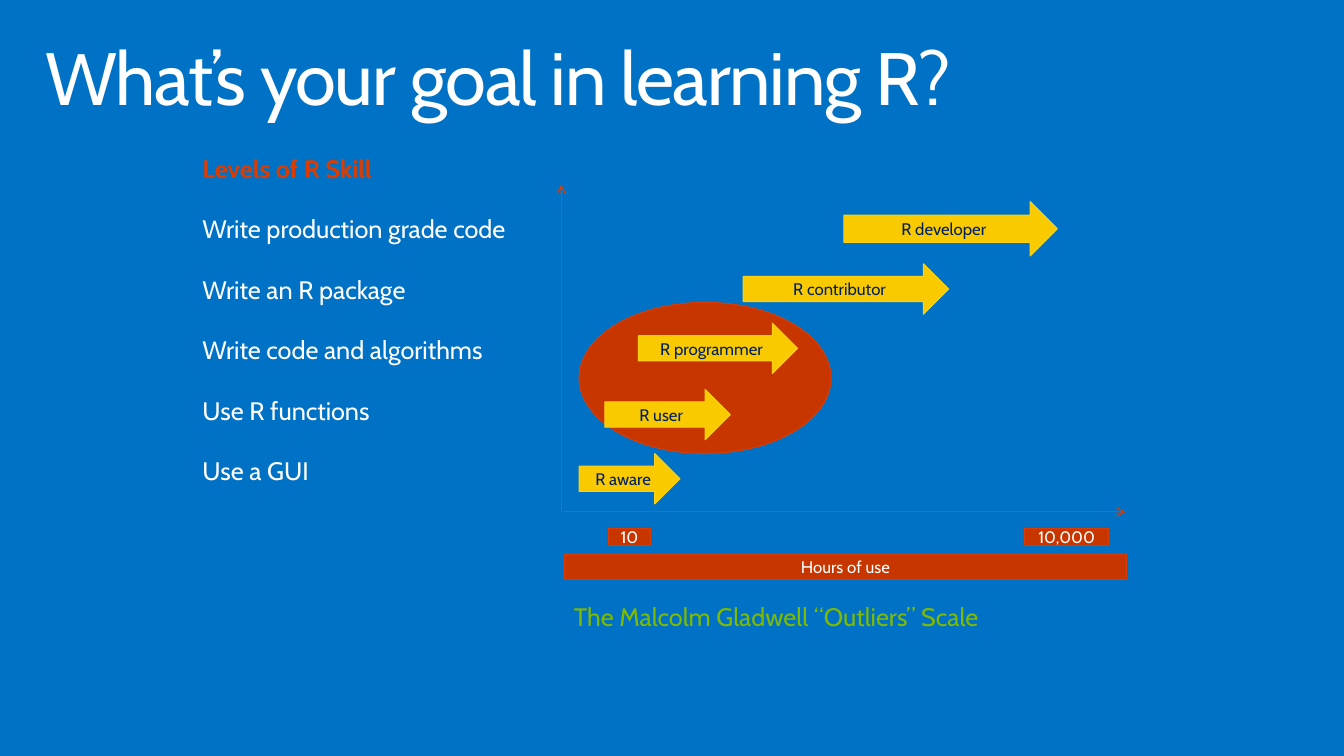
from dataclasses import dataclass

from lxml.etree import SubElement
from pptx import Presentation
from pptx.dml.color import RGBColor
from pptx.enum.shapes import MSO_CONNECTOR, MSO_SHAPE
from pptx.enum.text import MSO_ANCHOR, PP_ALIGN
from pptx.oxml.ns import qn
from pptx.util import Inches, Pt

COLUMNS, ROWS = 136, 76.5
CELL = Inches(13.6) / COLUMNS


@dataclass(frozen=True)
class Theme:
    font: str = "Cabin"
    background: str = "0072C6"
    text: str = "FFFFFF"
    accent: str = "DC3C00"
    panel: str = "C83600"
    arrow: str = "F9CA00"
    arrow_edge: str = "FCD116"
    arrow_text: str = "002060"
    caption: str = "7FBA00"
    title_size: float = 54
    body_size: float = 18.4
    label_size: float = 12.2
    edge_width: float = 0.75
    axis_width: float = 0.85


@dataclass(frozen=True)
class Box:
    left: float
    top: float
    width: float
    height: float

    def inner(self, left, top, width, height):
        return Box(self.left + left, self.top + top, width, height)

    def lengths(self):
        return [round(value * CELL) for value in (self.left, self.top, self.width, self.height)]


THEME = Theme()
LEVELS = ["Write production grade code", "Write an R package", "Write code and algorithms",
          "Use R functions", "Use a GUI"]
SKILL_ARROWS = [
    ("R developer", 28.6, 1.7, 21.6, 5.5),
    ("R contributor", 18.4, 8, 20.8, 5.1),
    ("R programmer", 7.8, 14, 16.1, 5.1),
    ("R user", 4.4, 20.7, 12.7, 5.1),
    ("R aware", 1.8, 27.2, 10.2, 5.1),
]
HOUR_LABELS = [
    ("10", 4.8, 34.8, 4.2, 1.7),
    ("10,000", 46.9, 34.8, 8.5, 1.7),
    ("Hours of use", 0.3, 37.4, 56.9, 2.5),
]


def color(code):
    return RGBColor.from_string(code)


def add_span(para, text, size, code, bold=False):
    span = para.add_run()
    span.text = text
    span.font.name = THEME.font
    span.font.size = Pt(size)
    span.font.bold = bold
    span.font.color.rgb = color(code)
    return span


def add_text_frame(page, box):
    frame = page.shapes.add_textbox(*box.lengths()).text_frame
    frame.word_wrap = True
    return frame


def add_figure(page, kind, box, fill, edge, label="", label_color=THEME.text):
    figure = page.shapes.add_shape(kind, *box.lengths())
    figure.shadow.inherit = False
    figure.fill.solid()
    figure.fill.fore_color.rgb = color(fill)
    figure.line.color.rgb = color(edge)
    figure.line.width = Pt(THEME.edge_width)
    if label:
        frame = figure.text_frame
        frame.word_wrap = True
        frame.vertical_anchor = MSO_ANCHOR.MIDDLE
        para = frame.paragraphs[0]
        para.alignment = PP_ALIGN.CENTER
        add_span(para, label, THEME.label_size, label_color)


def add_axis(page, box):
    left, top, width, height = box.lengths()
    axis = page.shapes.add_connector(MSO_CONNECTOR.STRAIGHT, left, top + height, left + width, top)
    axis.line.color.rgb = color(THEME.accent)
    axis.line.width = Pt(THEME.axis_width)
    SubElement(axis.line._get_or_add_ln(), qn("a:tailEnd"), type="arrow")
    SubElement(axis._element.spPr, qn("a:effectLst"))


def add_title(page, box):
    frame = add_text_frame(page, box)
    frame.margin_left = frame.margin_right = Inches(0.16)
    frame.margin_top = frame.margin_bottom = Inches(0.1)
    para = frame.paragraphs[0]
    para.line_spacing = 0.9
    span = add_span(para, "What’s your goal in learning R?", THEME.title_size, THEME.text)
    span.font._element.set("spc", "-100")


def add_levels(page, box):
    frame = add_text_frame(page, box)
    add_span(frame.paragraphs[0], "Levels of R Skill", THEME.body_size, THEME.accent, True)
    for level in LEVELS:
        para = frame.add_paragraph()
        para.space_before = Pt(22)
        add_span(para, level, THEME.body_size, THEME.text)


def add_skill_scale(page, box):
    add_figure(page, MSO_SHAPE.OVAL, box.inner(1.8, 11.9, 25.5, 15.3), THEME.panel, THEME.accent)
    add_axis(page, box.inner(0, 0, 0, 33.1))
    add_axis(page, box.inner(0.2, 33.1, 56.9, 0))
    for label, *place in SKILL_ARROWS:
        add_figure(page, MSO_SHAPE.RIGHT_ARROW, box.inner(*place), THEME.arrow,
                   THEME.arrow_edge, label, THEME.arrow_text)
    for label, *place in HOUR_LABELS:
        add_figure(page, MSO_SHAPE.RECTANGLE, box.inner(*place), THEME.panel,
                   THEME.accent, label)
    caption = add_text_frame(page, box.inner(0.3, 41.6, 56.9, 4.2))
    add_span(caption.paragraphs[0], "The Malcolm Gladwell “Outliers” Scale",
             THEME.body_size, THEME.caption)


def main():
    deck = Presentation()
    deck.slide_width = round(COLUMNS * CELL)
    deck.slide_height = round(ROWS * CELL)
    page = deck.slides.add_slide(deck.slide_layouts[6])
    page.background.fill.solid()
    page.background.fill.fore_color.rgb = color(THEME.background)
    add_title(page, Box(3, 3.2, 130, 10))
    add_levels(page, Box(19.5, 15, 34.8, 47.4))
    add_skill_scale(page, Box(56.8, 18.7, 57.2, 45.8))
    deck.save("out.pptx")


if __name__ == "__main__":
    main()
